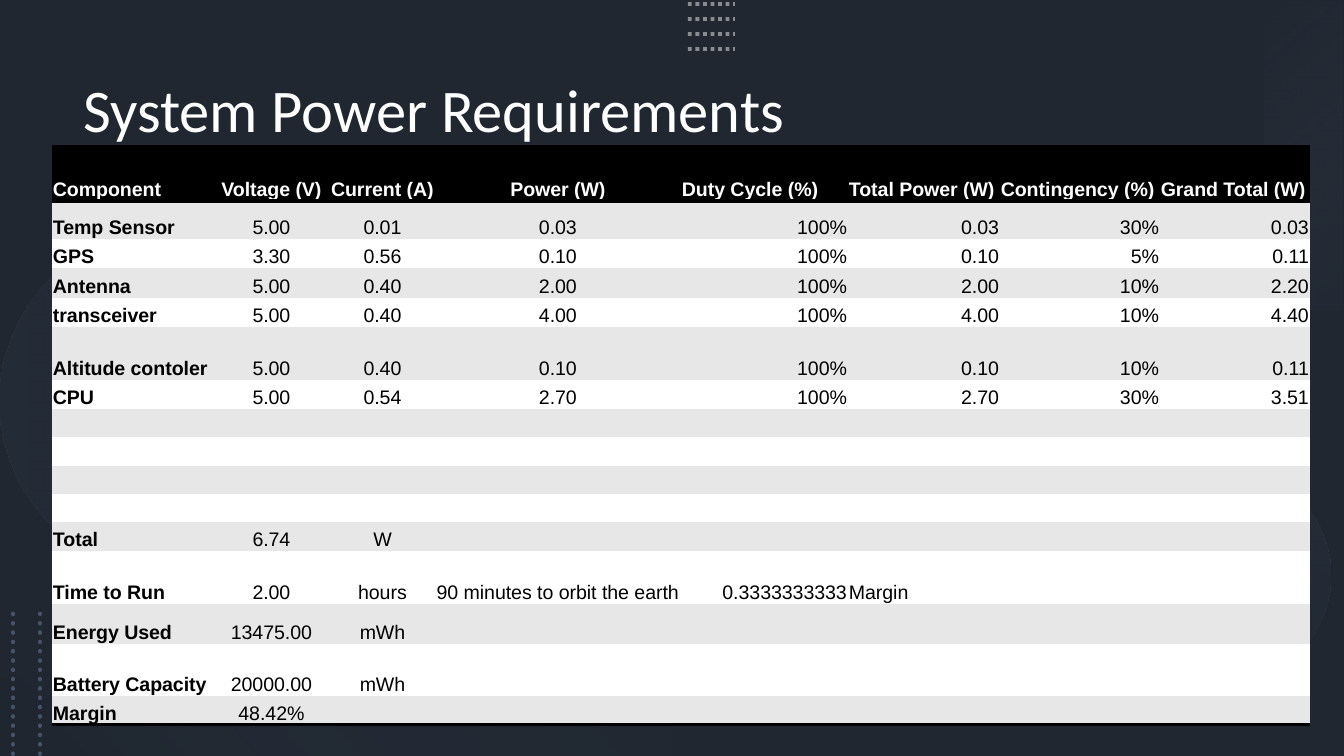
from lxml.etree import SubElement
from pptx import Presentation
from pptx.dml.color import RGBColor
from pptx.enum.dml import MSO_LINE
from pptx.enum.shapes import MSO_CONNECTOR, MSO_SHAPE
from pptx.enum.text import MSO_ANCHOR, MSO_AUTO_SIZE, PP_ALIGN
from pptx.oxml.ns import qn
from pptx.util import Emu, Pt

WIDTH, HEIGHT = 1344, 756
LEFT, CENTER, RIGHT = PP_ALIGN.LEFT, PP_ALIGN.CENTER, PP_ALIGN.RIGHT
NO_TABLE_STYLE = "{2D5ABB26-0587-4C30-8999-92F81FD0307C}"


def px(length):
    return Emu(round(length * 914400 / 134.4))


def rgb(color):
    return RGBColor.from_string(color)


def set_opacity(element, *percents):
    for color, percent in zip(element.iter(qn("a:srgbClr")), percents):
        SubElement(color, qn("a:alpha"), val=str(percent * 1000))


class PowerSlide:
    title_font, table_font = "Calibri", "Arial"
    title_size, table_size = Pt(32.4), Pt(10.5)
    black, white, band = "000000", "FFFFFF", "E7E7E7"

    def __init__(self, presentation):
        self.slide = presentation.slides.add_slide(presentation.slide_layouts[5])
        self.shapes = self.slide.shapes

    def shape(self, kind, box, rotation=0):
        shape = self.shapes.add_shape(kind, *map(px, box))
        shape.shadow.inherit = False
        shape.line.fill.background()
        shape.rotation = rotation
        return shape

    def solid(self, box, color, opacity=100):
        shape = self.shape(MSO_SHAPE.RECTANGLE, box)
        shape.fill.solid()
        shape.fill.fore_color.rgb = rgb(color)
        if opacity < 100:
            set_opacity(shape.element, opacity)

    def gradient(self, kind, box, rotation, angle, *stops):
        shape = self.shape(kind, box, rotation)
        shape.fill.gradient()
        shape.fill.gradient_angle = 360 - angle
        for stop, (position, color, _) in zip(shape.fill.gradient_stops, stops):
            stop.position = position
            stop.color.rgb = rgb(color)
        set_opacity(shape.element, *(opacity for _, _, opacity in stops))

    def dots(self, start, end, color, width, opacity=100, cap="flat"):
        connector = self.shapes.add_connector(
            MSO_CONNECTOR.STRAIGHT, *map(px, start + end))
        line = connector.line
        line.color.rgb = rgb(color)
        line.width = Pt(width)
        line.dash_style = MSO_LINE.ROUND_DOT
        properties = connector.element.spPr
        properties.find(qn("a:ln")).set("cap", cap)
        SubElement(properties, qn("a:effectLst"))
        if opacity < 100:
            set_opacity(connector.element, opacity)

    def title(self, text, box):
        title = self.shapes.title
        title.left, title.top, title.width, title.height = map(px, box)
        # Bring the title in front of the backdrop
        title.element.getparent().append(title.element)
        frame = title.text_frame
        frame.text = text
        frame.auto_size = MSO_AUTO_SIZE.NONE
        frame.vertical_anchor = MSO_ANCHOR.MIDDLE
        paragraph = frame.paragraphs[0]
        paragraph.alignment = LEFT
        paragraph.line_spacing = 0.9
        paragraph.font.name = self.title_font
        paragraph.font.size = self.title_size
        paragraph.font.color.rgb = rgb(self.white)

    def border(self, cell, *sides):
        properties = cell._tc.get_or_add_tcPr()
        for index, side in enumerate(sides):
            line = SubElement(properties, qn(f"a:{side}"), w=str(Pt(2)))
            fill = SubElement(line, qn("a:solidFill"))
            SubElement(fill, qn("a:srgbClr"), val=self.black)
            properties.insert(index, line)

    def cell(self, cell, text, fill, color, bold, alignment):
        cell.fill.solid()
        cell.fill.fore_color.rgb = rgb(fill)
        cell.vertical_anchor = MSO_ANCHOR.BOTTOM
        cell.margin_left = cell.margin_right = px(1)
        cell.margin_top = cell.margin_bottom = 0
        paragraph = cell.text_frame.paragraphs[0]
        if not text:
            # An empty cell takes its line height from the end mark
            SubElement(paragraph._p, qn("a:endParaRPr"), sz=str(int(self.table_size.pt * 100)))
            return
        paragraph.text = text
        paragraph.alignment = alignment
        paragraph.font.name = self.table_font
        paragraph.font.size = self.table_size
        paragraph.font.bold = bold
        paragraph.font.color.rgb = rgb(color)

    def table(self, left, top, widths, heights, rows):
        frame = self.shapes.add_table(
            len(heights), len(widths), px(left), px(top), px(sum(widths)), px(sum(heights)))
        table = frame.table
        table.first_row = table.horz_banding = False
        next(frame.element.iter(qn("a:tableStyleId"))).text = NO_TABLE_STYLE
        for column, width in zip(table.columns, widths):
            column.width = px(width)
        for row, height in zip(table.rows, heights):
            row.height = px(height)
        for r, values in enumerate(rows):
            header = r == 0
            fill = self.black if header else self.band if r % 2 else self.white
            color = self.white if header else self.black
            for c in range(len(widths)):
                text = values[c] if c < len(values) else ""
                if 1 <= c <= 3:
                    alignment = CENTER
                elif c == 0 or header or text == "Margin":
                    alignment = LEFT
                else:
                    alignment = RIGHT
                cell = table.cell(r, c)
                self.cell(cell, text, fill, color, header or c == 0, alignment)
                if header:
                    self.border(cell, "lnT", "lnB")
                elif r == len(rows) - 1:
                    self.border(cell, "lnB")


COLUMN_WIDTHS = [161, 117, 105, 246, 167, 152, 160, 150]
ROW_HEIGHTS = [54, 38, 29, 30, 29, 53, 29, 28, 29, 28, 28, 29, 53, 40, 52, 29]
ROWS = [
    ["Component", "Voltage (V)", "Current (A)", "Power (W)", "Duty Cycle (%)",
     "Total Power (W)", "Contingency (%)", "Grand Total (W)"],
    ["Temp Sensor", "5.00", "0.01", "0.03", "100%", "0.03", "30%", "0.03"],
    ["GPS", "3.30", "0.56", "0.10", "100%", "0.10", "5%", "0.11"],
    ["Antenna", "5.00", "0.40", "2.00", "100%", "2.00", "10%", "2.20"],
    ["transceiver", "5.00", "0.40", "4.00", "100%", "4.00", "10%", "4.40"],
    ["Altitude contoler", "5.00", "0.40", "0.10", "100%", "0.10", "10%", "0.11"],
    ["CPU", "5.00", "0.54", "2.70", "100%", "2.70", "30%", "3.51"],
    [], [], [], [],
    ["Total", "6.74", "W"],
    ["Time to Run", "2.00", "hours", "90 minutes to orbit the earth", "0.3333333333", "Margin"],
    ["Energy Used", "13475.00", "mWh"],
    ["Battery Capacity", "20000.00", "mWh"],
    ["Margin", "48.42%"],
]


def main():
    presentation = Presentation()
    presentation.slide_width, presentation.slide_height = px(WIDTH), px(HEIGHT)
    page = PowerSlide(presentation)

    # Dark backdrop
    page.solid((0, 0, WIDTH, HEIGHT), "44546A")
    page.solid((0, 0, WIDTH, HEIGHT), "000000", 53)

    # Faint discs and bands
    page.gradient(MSO_SHAPE.OVAL, (0, 228, 347, 347), 270, 90,
                  (0, "333F50", 20), (1, "222A35", 10))
    page.gradient(MSO_SHAPE.OVAL, (1120, 470, 210, 210), 210, 90,
                  (0, "333F50", 10), (1, "333F50", 20))
    page.gradient(MSO_SHAPE.RECTANGLE, (1150, 116, 308, 78), 270, 140,
                  (0, "ADB9CA", 0), (1, "333F50", 10))
    page.gradient(MSO_SHAPE.RECTANGLE, (0, 678, 672, 78), 180, 140,
                  (0.1, "222A35", 10), (1, "8497B0", 0))

    # Dotted columns at the lower left
    for x in (40, 13):
        page.dots((x, 614), (x, HEIGHT), "44546A", 2.5, cap="rnd")

    page.title("System Power Requirements", (70, 70, 1223, 85))

    # Dotted rows at the top
    for row in range(4):
        y = 4 + 15 * row
        page.dots((688, y), (735, y), "F1F0F0", 2, 50)

    # Power budget
    page.table(52, 147, COLUMN_WIDTHS, ROW_HEIGHTS, ROWS)

    presentation.save("out.pptx")


if __name__ == "__main__":
    main()
